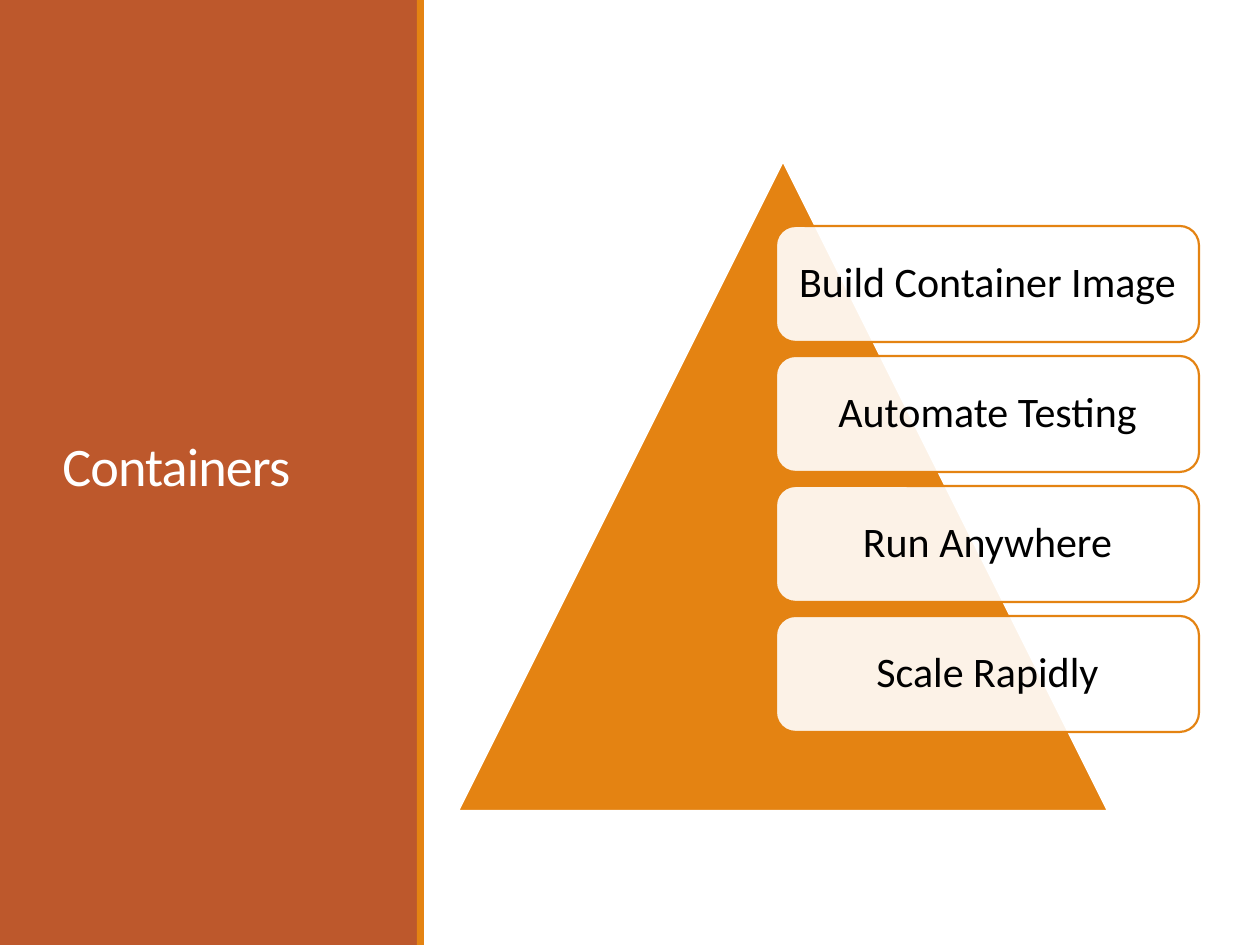
from pptx import Presentation
from pptx import util as u
from pptx.dml.color import RGBColor
from pptx.enum import shapes, text
from pptx.oxml import parse_xml
from pptx.oxml.ns import nsdecls

EMU_PER_PX = 914400 / 126
WIDTH, HEIGHT = 1260, 945
ORANGE = RGBColor(0xE4, 0x83, 0x12)
RUST = RGBColor(0xBD, 0x58, 0x2C)
WHITE = RGBColor(0xFF, 0xFF, 0xFF)
BLACK = RGBColor(0x00, 0x00, 0x00)
FONT = "Calibri"
STEPS = ["Build Container Image", "Automate Testing", "Run Anywhere", "Scale Rapidly"]


def px(value):
    return u.Emu(round(value * EMU_PER_PX))


def add_block(slide, kind, box, fill, line=None):
    shape = slide.shapes.add_shape(kind, *map(px, box))
    shape.shadow.inherit = False
    shape.fill.solid()
    shape.fill.fore_color.rgb = fill
    if line is None:
        shape.line.fill.background()
    else:
        shape.line.color.rgb = line
        shape.line.width = u.Pt(1.25)
    return shape


def set_text(shape, wording, size, color, alignment, line_spacing):
    frame = shape.text_frame
    frame.word_wrap = True
    frame.vertical_anchor = text.MSO_ANCHOR.MIDDLE
    frame.text = wording
    paragraph = frame.paragraphs[0]
    paragraph.alignment = alignment
    paragraph.line_spacing = line_spacing
    run = paragraph.runs[0]
    run.font.name = FONT
    run.font.size = u.Pt(size)
    run.font.color.rgb = color
    return run


def set_opacity(shape, percent):
    color = shape.fill._xPr.find(".//{*}srgbClr")
    color.append(parse_xml(f'<a:alpha {nsdecls("a")} val="{percent * 1000}"/>'))


def add_title_panel(slide, box, title):
    left, top, width, height = box
    rectangle = shapes.MSO_SHAPE.RECTANGLE
    add_block(slide, rectangle, box, RUST)
    add_block(slide, rectangle, (left + width - 1, top, 7, height), ORANGE)
    title_box = slide.shapes.add_textbox(
        px(left + 50), px(top + 72), px(width - 99), px(795))
    run = set_text(title_box, title, 31, WHITE, text.PP_ALIGN.LEFT, 0.85)
    run._r.get_or_add_rPr().set("spc", "-50")


def add_pyramid_list(slide, box, steps):
    left, top, width, height = box
    side, card_width, card_height, pitch = height, 423, 116, 130
    add_block(slide, shapes.MSO_SHAPE.ISOSCELES_TRIANGLE,
              (left, top, side, side), ORANGE, WHITE)
    for index, step in enumerate(steps):
        card_box = (left + width - card_width, top + 65 + index * pitch,
                    card_width, card_height)
        card = add_block(slide, shapes.MSO_SHAPE.ROUNDED_RECTANGLE,
                         card_box, WHITE, ORANGE)
        set_opacity(card, 90)
        set_text(card, step, 24, BLACK, text.PP_ALIGN.CENTER, 0.9)


def main():
    presentation = Presentation()
    presentation.slide_width = px(WIDTH)
    presentation.slide_height = px(HEIGHT)
    slide = presentation.slides.add_slide(presentation.slide_layouts[6])
    slide.background.fill.solid()
    slide.background.fill.fore_color.rgb = WHITE
    add_title_panel(slide, (0, 0, 418, HEIGHT), "Containers")
    add_pyramid_list(slide, (458, 161, 741, 650), STEPS)
    presentation.save("out.pptx")


if __name__ == "__main__":
    main()
